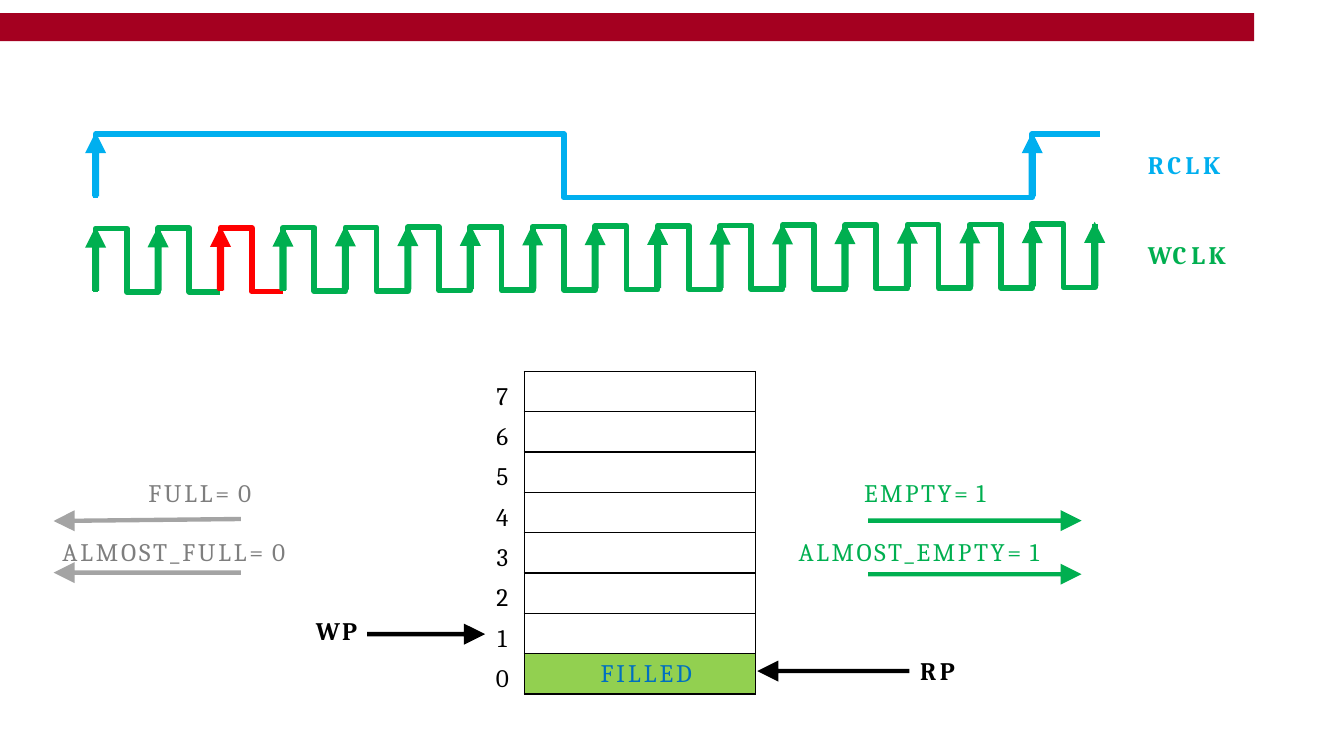
from math import hypot

from lxml import etree
from pptx import Presentation
from pptx.dml.color import RGBColor
from pptx.enum.shapes import MSO_SHAPE as Shape
from pptx.enum.text import MSO_ANCHOR as Anchor, PP_ALIGN as Align
from pptx.oxml.ns import qn
from pptx.util import Cm, Pt

BLACK = RGBColor(0x00, 0x00, 0x00)
CRIMSON = RGBColor(0xA4, 0x00, 0x20)
RED = RGBColor(0xFF, 0x00, 0x00)
GREEN = RGBColor(0x00, 0xAF, 0x50)
SKY = RGBColor(0x00, 0xAF, 0xEF)
BLUE = RGBColor(0x00, 0x6F, 0xC0)
LIME = RGBColor(0x92, 0xD0, 0x50)
GREY = RGBColor(0x7E, 0x7E, 0x7E)
SILVER = RGBColor(0xA4, 0xA4, 0xA4)

FONT = "Cambria"
NO_GRID_STYLE = "{2D5ABB26-0587-4C30-8999-92F81FD0307C}"
WRITE_CYCLES = 16
MARKED_CYCLE = 2
DRIFT = 0.12 / WRITE_CYCLES  # rise of the write clock per cycle, in cm
DEPTH = 8
HEAD = 0.53  # length and width of an arrowhead, in cm


def add_run(paragraph, text, color, tracking=0, bold=False):
    run = paragraph.add_run()
    run.text = text
    run.font.name = FONT
    run.font.size = Pt(18)
    run.font.bold = bold
    run.font.color.rgb = color
    run.font._element.set("spc", str(round(tracking * 100)))


def add_label(slide, left, top, width, lines, bold=False, gap=0, height=1.55):
    """Each line is a list of (text, color, tracking) runs."""
    box = slide.shapes.add_textbox(Cm(left), Cm(top), Cm(width), Cm(height))
    frame = box.text_frame
    frame.word_wrap = True
    frame.margin_left = frame.margin_right = frame.margin_bottom = 0
    frame.margin_top = Cm(0.03)
    for number, runs in enumerate(lines):
        paragraph = frame.add_paragraph() if number else frame.paragraphs[0]
        paragraph.space_before = Pt(gap if number else 1)
        for text, color, tracking in runs:
            add_run(paragraph, text, color, tracking, bold)


def add_outline(slide, contours, close):
    builder = None
    for contour in contours:
        first, *rest = [(Cm(x), Cm(y)) for x, y in contour]
        if builder is None:
            builder = slide.shapes.build_freeform(*first)
        else:
            builder.move_to(*first)
        builder.add_line_segments(rest, close=close)
    shape = builder.convert_to_shape()
    shape.shadow.inherit = False
    return shape


def arrow_contour(start, end, shaft):
    length = hypot(end[0] - start[0], end[1] - start[1])
    along_x, along_y = (end[0] - start[0]) / length, (end[1] - start[1]) / length
    neck = length - HEAD
    profile = ((0, shaft / 2), (neck, shaft / 2), (neck, HEAD / 2), (length, 0),
               (neck, -HEAD / 2), (neck, -shaft / 2), (0, -shaft / 2))
    return [(start[0] + far * along_x - side * along_y,
             start[1] + far * along_y + side * along_x) for far, side in profile]


def add_arrows(slide, arrows, color, shaft=0.11):
    """Draw (start, end) pairs as one filled outline."""
    contours = [arrow_contour(start, end, shaft) for start, end in arrows]
    shape = add_outline(slide, contours, close=True)
    shape.fill.solid()
    shape.fill.fore_color.rgb = color
    shape.line.fill.background()


def add_wave(slide, points, color):
    wave = add_outline(slide, [points], close=False)
    wave.fill.background()
    wave.line.color.rgb = color
    wave.line.width = Pt(4)


def add_edges(slide, tops, height, color):
    arrows = [((x, top + height - 0.03), (x, top - 0.05)) for x, top in tops]
    add_arrows(slide, arrows, color, 0.18)


def add_banner(slide, left, top, width, height):
    banner = slide.shapes.add_shape(
        Shape.RECTANGLE, Cm(left), Cm(top), Cm(width), Cm(height))
    banner.shadow.inherit = False
    banner.fill.solid()
    banner.fill.fore_color.rgb = CRIMSON
    banner.line.fill.background()


def add_clocks(slide, left, top, width):
    cycle = width / WRITE_CYCLES
    height = 1.6

    # Write clock: one colour per stretch of cycles, closed by a last edge
    tops = [(left + number * cycle, top + 2.38 - number * DRIFT)
            for number in range(WRITE_CYCLES + 1)]
    marked, after = MARKED_CYCLE, MARKED_CYCLE + 1
    stretches = ((tops[:marked], GREEN), (tops[marked:after], RED), (tops[after:], GREEN))
    for starts, color in stretches:
        points = []
        for x, high in starts:
            low, middle = high + height, x + cycle / 2
            points += [(x, low), (x, high), (middle, high),
                       (middle, low), (x + cycle, low)]
        if starts[-1] == tops[-1]:
            points = points[:-3]
        add_wave(slide, points, color)
    for starts, color in stretches:
        add_edges(slide, starts, height, color)

    # Read clock: one cycle spans fifteen write cycles
    low, fall, rise = top + height, left + 7.5 * cycle, left + 15 * cycle
    add_wave(slide, [(left, low), (left, top), (fall, top), (fall, low),
                     (rise, low), (rise, top), (left + width + 0.13, top)], SKY)
    add_edges(slide, [(left, top), (rise, top)], height, SKY)

    # Clock names
    add_label(slide, left + width + 1.34, top + 0.35, 2.3,
              [[("RCLK", SKY, 2.9)],
               [("W", GREEN, 0.4), ("C", GREEN, 3.5), ("LK", GREEN, 2.6)]],
              bold=True, gap=43, height=4.57)


def add_column(slide, left, top, width, height):
    frame = slide.shapes.add_table(
        DEPTH, 1, Cm(left), Cm(top), Cm(width), Cm(height))
    table = frame.table
    table.first_row = table.horz_banding = False
    table._tbl.tblPr.find(qn("a:tableStyleId")).text = NO_GRID_STYLE
    cells = [row.cells[0] for row in table.rows]
    for cell in cells:
        cell.margin_left = cell.margin_right = 0
        cell.margin_top = cell.margin_bottom = 0
        cell.vertical_anchor = Anchor.MIDDLE
        cell.fill.background()
    return cells


def add_borders(cell):
    properties = cell._tc.get_or_add_tcPr()
    for position, side in enumerate(("lnL", "lnR", "lnT", "lnB")):
        border = etree.Element(qn("a:" + side), w=str(Pt(0.96)))
        fill = etree.SubElement(border, qn("a:solidFill"))
        etree.SubElement(fill, qn("a:srgbClr"), val=str(BLACK))
        properties.insert(position, border)


def add_memory(slide, left, top, width, height):
    # Storage cells, with the lowest one in use
    cells = add_column(slide, left, top, width, height)
    cells[-1].fill.solid()
    cells[-1].fill.fore_color.rgb = LIME
    cells[-1].margin_left = Cm(1.92)
    add_run(cells[-1].text_frame.paragraphs[0], "FILLED", BLUE, 2.2)
    for cell in cells:
        add_borders(cell)

    # Addresses, highest first
    for number, cell in enumerate(add_column(slide, left - 1.09, top + 0.14, 1.07, height)):
        paragraph = cell.text_frame.paragraphs[0]
        paragraph.alignment = Align.CENTER
        add_run(paragraph, str(DEPTH - 1 - number), BLACK)

    # Write and read pointers
    bottom, right = top + height, left + width
    write_y, read_y = bottom - 1.51, bottom - 0.58
    add_label(slide, left - 5.25, write_y - 0.5, 1.2, [[("WP", BLACK, 1.5)]], bold=True)
    add_arrows(slide, [((left - 3.96, write_y), (left - 0.99, write_y))], BLACK)
    add_label(slide, right + 4.15, read_y - 0.42, 1.1, [[("RP", BLACK, 2.6)]], bold=True)
    add_arrows(slide, [((right + 3.88, read_y), (right + 0.05, read_y))], BLACK)


def add_flags(slide, left, top, arrow, text_color, arrow_color, flags):
    """Arrow holds start and end offsets; flags are stacked downwards."""
    start, end = arrow
    for number, (name, value, tracking, indent, width, drop, tilt) in enumerate(flags):
        label_top = top + number * 1.48
        add_label(slide, left + indent, label_top, width,
                  [[(name + "=", text_color, tracking), (" " + value, text_color, 0)]])
        y = label_top + drop
        add_arrows(slide, [((left + start, y - tilt), (left + end, y))], arrow_color)


def main():
    presentation = Presentation()
    presentation.slide_width = Cm(33.86)
    presentation.slide_height = Cm(19.05)
    slide = presentation.slides.add_slide(presentation.slide_layouts[6])

    add_banner(slide, 0, 0.33, 31.6, 0.71)
    add_clocks(slide, 2.41, 3.38, 25.17)
    add_memory(slide, 13.21, 9.36, 5.82, 8.13)
    add_flags(slide, 1.35, 12.01, (4.72, 0), GREY, SILVER,
              [("FULL", "0", 2.1, 2.39, 2.8, 1.12, 0.05),
               ("ALMOST_FULL", "0", 2.1, 0.22, 5.9, 0.94, 0)])
    add_flags(slide, 20.12, 12.01, (1.75, 7.13), GREEN, GREEN,
              [("EMPTY", "1", 1.8, 1.65, 3.35, 1.11, 0),
               ("ALMOST_EMPTY", "1", 1.9, 0, 6.45, 0.98, 0)])

    presentation.save("out.pptx")


if __name__ == "__main__":
    main()
